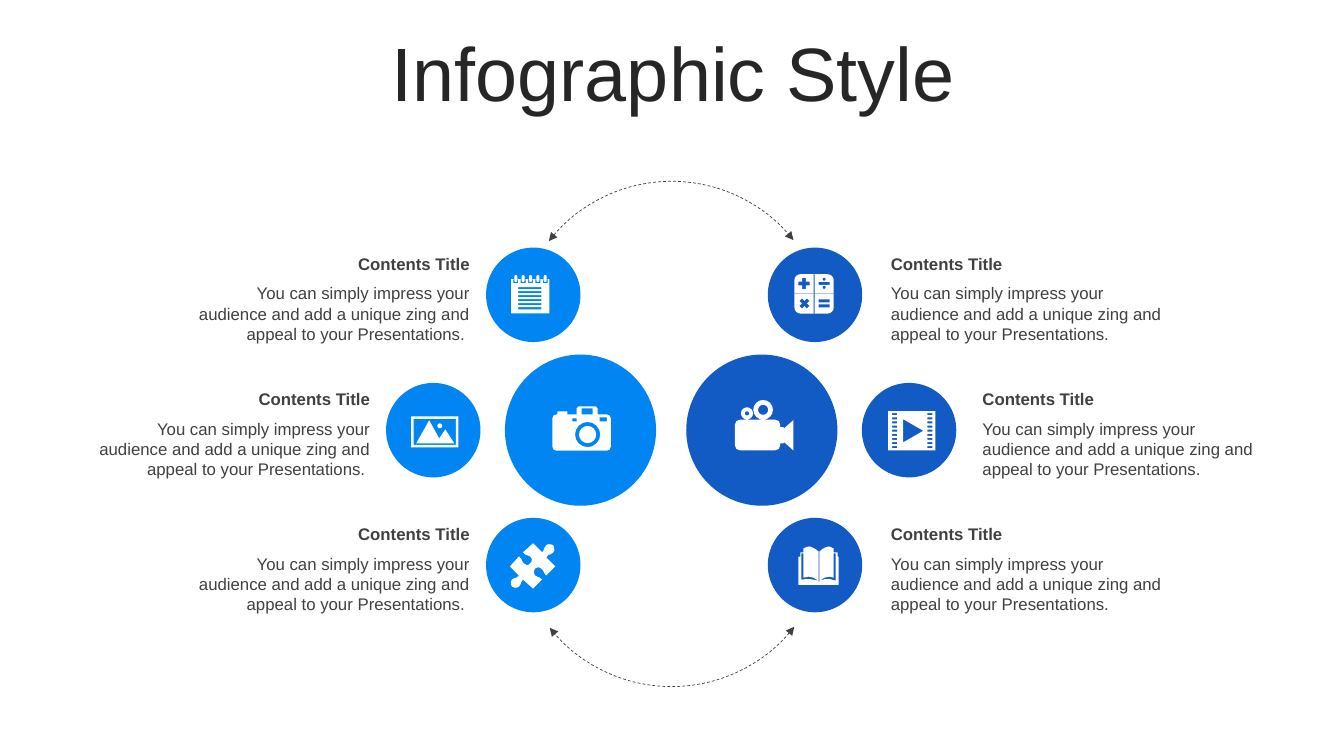
"""Build the infographic slide with two hubs, six topics and their icons."""
from dataclasses import dataclass
from math import cos, radians, sin

from lxml.etree import SubElement
from pptx import Presentation
from pptx.dml.color import RGBColor as Color
from pptx.enum.dml import MSO_LINE
from pptx.enum.shapes import MSO_SHAPE as Preset
from pptx.enum.text import MSO_ANCHOR as Anchor, MSO_AUTO_SIZE as AutoSize, PP_ALIGN as Align
from pptx.oxml.ns import qn
from pptx.util import Cm, Pt


@dataclass(frozen=True)
class Theme:
    font: str = "Arial"
    heading: Color = Color.from_string("262626")
    text: Color = Color.from_string("404040")
    left: Color = Color.from_string("0085F2")
    right: Color = Color.from_string("125AC4")
    icon: Color = Color.from_string("FFFFFF")
    heading_size: int = 54
    text_size: int = 12
    line_width: float = 0.5


def rounded(left, top, width, height, corner=0):
    right, bottom = left + width, top + height
    if not corner:
        return [(left, top), (right, top), (right, bottom), (left, bottom)]
    centres = [(right - corner, bottom - corner), (left + corner, bottom - corner),
               (left + corner, top + corner), (right - corner, top + corner)]
    parts = 4 if corner > 5 else 2
    return [(x + corner * cos(radians(angle)), y + corner * sin(radians(angle)))
            for quarter, (x, y) in enumerate(centres)
            for angle in [90 * (quarter + part / parts) for part in range(parts + 1)]]


def disc(x, y, radius):
    parts = 16 if radius > 4 else 8
    angles = [radians(360 * part / parts) for part in range(parts)]
    return [(x + radius * cos(angle), y + radius * sin(angle)) for angle in angles]


def cross(x, y, arm, half, turn=0):
    corners = [(arm, -half), (arm, half), (half, half)]
    angles = [radians(turn + 90 * quarter) for quarter in range(4)]
    return [(x + a * cos(angle) - b * sin(angle), y + a * sin(angle) + b * cos(angle))
            for angle in angles for a, b in corners]


def outline(*steps):
    points = []
    for step in steps:
        if len(step) == 2:
            points.append(step)
            continue
        controls = [points[-1], step[:2], step[2:4], step[4:]]
        for t in (1 / 3, 2 / 3, 1):
            weights = ((1 - t) ** 3, 3 * t * (1 - t) ** 2, 3 * t * t * (1 - t), t ** 3)
            points.append(tuple(sum(w * c[axis] for w, c in zip(weights, controls))
                                for axis in (0, 1)))
    return points


THEME = Theme()
HEADING = "Infographic Style"
TOPIC_TITLE = "Contents Title"
TOPIC_TEXT = ("You can simply impress your audience and add a unique zing "
              "and appeal to your Presentations. ")
ROWS = (7.43, 10.84, 14.24)
HUB_SIZE, TOPIC_SIZE = 3.81, 2.38
SIDES = [
    {"colour": THEME.left, "align": Align.RIGHT, "hub": 14.63, "topics": (13.44, 10.92, 13.44),
     "texts": (4.72, 2.21, 4.72), "text_width": 7.37},
    {"colour": THEME.right, "align": Align.LEFT, "hub": 19.2, "topics": (20.54, 22.91, 20.54),
     "texts": (22.2, 24.51, 22.2), "text_width": 7.42},
]
ARC_LEFT, ARC_SIZE = 13, 7.85
ARC_ANGLES = (218.03, 321.51)
ARCS = [(4.57, 0), (9.45, 180)]

RINGS = [4.7 + 7.3 * index for index in range(5)]
NOTEPAD = ([rounded(0, 4, 38, 34)]
           + [rounded(7, 12 + 4 * index, 23, 2) for index in range(6)]
           + [rounded(x - 2.4, 4, 4.8, 4) for x in RINGS]
           + [rounded(x - 1.5, 0, 3, 7, 1.5) for x in RINGS])
CALCULATOR = [rounded(0, 0, 39, 39, 6), rounded(19.2, 0, 0.8, 39),
              rounded(0, 19.2, 19.2, 0.6), rounded(20, 19.2, 19, 0.6),
              cross(9.5, 9.2, 5.5, 1.8), cross(10, 29, 5.3, 1.8, 45),
              rounded(24, 7.5, 11, 3), disc(29.5, 5, 1.6), disc(29.5, 13, 1.6),
              rounded(24, 25, 11, 3), rounded(24, 30, 11, 3)]
PUZZLE = [outline(
    (43, 2), (44, 4, 45, 7, 43, 9), (41, 12, 38, 10, 36, 14), (45, 23), (36, 32),
    (33, 29, 34, 27, 31, 25), (29, 23, 27, 24, 25, 25), (24, 26, 23, 30, 25, 32),
    (28, 34, 29, 33, 32, 36), (23, 45), (13, 36), (10, 39, 12, 40, 9, 43),
    (7, 45, 4, 44, 2, 43), (1, 41, 0, 38, 2, 36), (4, 34, 7, 35, 9, 32), (0, 23), (9, 13),
    (13, 16, 11, 18, 14, 20), (16, 22, 19, 22, 20, 20), (22, 19, 23, 15, 20, 13),
    (17, 11, 16, 13, 13, 9), (23, 0), (32, 9), (35, 6, 33, 5, 36, 2), (38, 0, 41, 1, 43, 2))]
BOOK = [outline(
    (20, 35), (21, 35), (21, 34), (27, 32, 30, 31, 37, 34), (37, 7), (35, 7), (35, 31),
    (31, 29, 26, 30, 21, 34), (21, 5), (24, 2, 26, 1, 30, 0), (31, 0, 33, 1, 35, 2), (35, 6),
    (39, 6), (39, 10), (40, 10), (40, 38), (0, 38), (0, 10), (2, 10), (2, 6), (5, 6), (5, 2),
    (7, 1, 9, 0, 11, 0), (14, 1, 17, 2, 20, 5), (20, 34), (15, 30, 10, 29, 5, 31), (5, 7),
    (3, 7), (3, 33), (10, 31, 14, 33, 20, 34))]
FILM = ([rounded(0, 0, 47, 39), [(15, 8), (15, 31), (35, 19.5)]]
        + [rounded(x, 2 + 4.1 * index, 5, 2) for x in (4, 39) for index in range(9)])
CAMERA = [rounded(0, 8, 58, 36, 4), disc(35, 28, 12.5), disc(35, 28, 8.5),
          rounded(20, 12, 4, 3), rounded(47, 11, 7, 4), rounded(5, 5, 10, 3),
          [(24, 8), (24, 2), (26, 0), (43, 0), (45, 2), (45, 8)], rounded(29, 2, 11, 6)]
MOVIE_CAMERA = [rounded(0, 19.5, 45, 30.5, 5), disc(12, 13.3, 6), disc(12, 13.3, 2.2),
                disc(28, 9.75, 9.75), disc(28, 9.75, 5),
                [(45, 27), (48, 27), (49, 28), (58, 20), (58, 50), (49, 42), (48, 43), (45, 43)]]
LANDSCAPE = [rounded(0, 0, 47, 31), rounded(2.5, 2.5, 42, 26), disc(28.5, 9.5, 2.5),
             [(18, 4), (28, 22), (34, 13), (43, 27), (5, 27)]]
ICONS = [(NOTEPAD, 12.88, 6.93), (CALCULATOR, 20.02, 6.91), (PUZZLE, 12.85, 13.69),
         (BOOK, 20.12, 13.77), (FILM, 22.38, 10.36), (CAMERA, 13.92, 10.24),
         (MOVIE_CAMERA, 18.52, 10.08), (LANDSCAPE, 10.36, 10.49)]
ICON_STEPS = 100
ICON_SCALE = Cm(2.54) / 100 / ICON_STEPS


def fill_plain(shape, colour):
    shape.shadow.inherit = False
    shape.fill.solid()
    shape.fill.fore_color.rgb = colour
    shape.line.fill.background()


def add_circle(shapes, x, y, size, colour):
    circle = shapes.add_shape(Preset.OVAL, Cm(x - size / 2), Cm(y - size / 2), Cm(size), Cm(size))
    fill_plain(circle, colour)


def add_text(shapes, text, box, align, size=THEME.text_size, colour=THEME.text, bold=False):
    frame = shapes.add_textbox(*map(Cm, box)).text_frame
    frame.word_wrap = True
    frame.auto_size = AutoSize.SHAPE_TO_FIT_TEXT
    paragraph = frame.paragraphs[0]
    paragraph.text = text
    paragraph.alignment = align
    font = paragraph.font
    font.name, font.size, font.bold = THEME.font, Pt(size), bold
    font.color.rgb = colour
    return frame


def add_arc(shapes, top, rotation):
    arc = shapes.add_shape(Preset.ARC, Cm(ARC_LEFT), Cm(top), Cm(ARC_SIZE), Cm(ARC_SIZE))
    arc.shadow.inherit = False
    arc.rotation = rotation
    for index, angle in enumerate(ARC_ANGLES):
        arc.adjustments[index] = angle * 0.6
    arc.fill.background()
    arc.line.color.rgb = THEME.text
    arc.line.width = Pt(THEME.line_width)
    arc.line.dash_style = MSO_LINE.DASH
    line = arc.element.spPr.find(qn("a:ln"))
    for end in ("a:headEnd", "a:tailEnd"):
        SubElement(line, qn(end), type="triangle")


def add_icon(shapes, contours, left, top):
    scaled = [[(x * ICON_STEPS, y * ICON_STEPS) for x, y in contour] for contour in contours]
    builder = shapes.build_freeform(*scaled[0][0], scale=ICON_SCALE)
    builder.add_line_segments(scaled[0][1:])
    for contour in scaled[1:]:
        builder.move_to(*contour[0])
        builder.add_line_segments(contour[1:])
    fill_plain(builder.convert_to_shape(Cm(left), Cm(top)), THEME.icon)


presentation = Presentation()
presentation.slide_width, presentation.slide_height = Cm(33.87), Cm(19.05)
slide = presentation.slides.add_slide(presentation.slide_layouts[6])
shapes = slide.shapes

heading = add_text(shapes, HEADING, (0.89, 0.94, 32.16, 2.01), Align.CENTER,
                   THEME.heading_size, THEME.heading)
heading.auto_size = AutoSize.NONE
heading.vertical_anchor = Anchor.MIDDLE
heading.paragraphs[0].line_spacing = 0.9
heading.paragraphs[0].space_before = Pt(10)

for side in SIDES:
    add_circle(shapes, side["hub"], ROWS[1], HUB_SIZE, side["colour"])
    for x, y in zip(side["topics"], ROWS):
        add_circle(shapes, x, y, TOPIC_SIZE, side["colour"])
for top, rotation in ARCS:
    add_arc(shapes, top, rotation)
for side in SIDES:
    for left, y in zip(side["texts"], ROWS):
        width, align = side["text_width"], side["align"]
        add_text(shapes, TOPIC_TEXT, (left, y - 0.42, width, 1.8), align)
        add_text(shapes, TOPIC_TITLE, (left, y - 1.16, width, 0.76), align, bold=True)
for contours, left, top in ICONS:
    add_icon(shapes, contours, left, top)

presentation.save("out.pptx")
